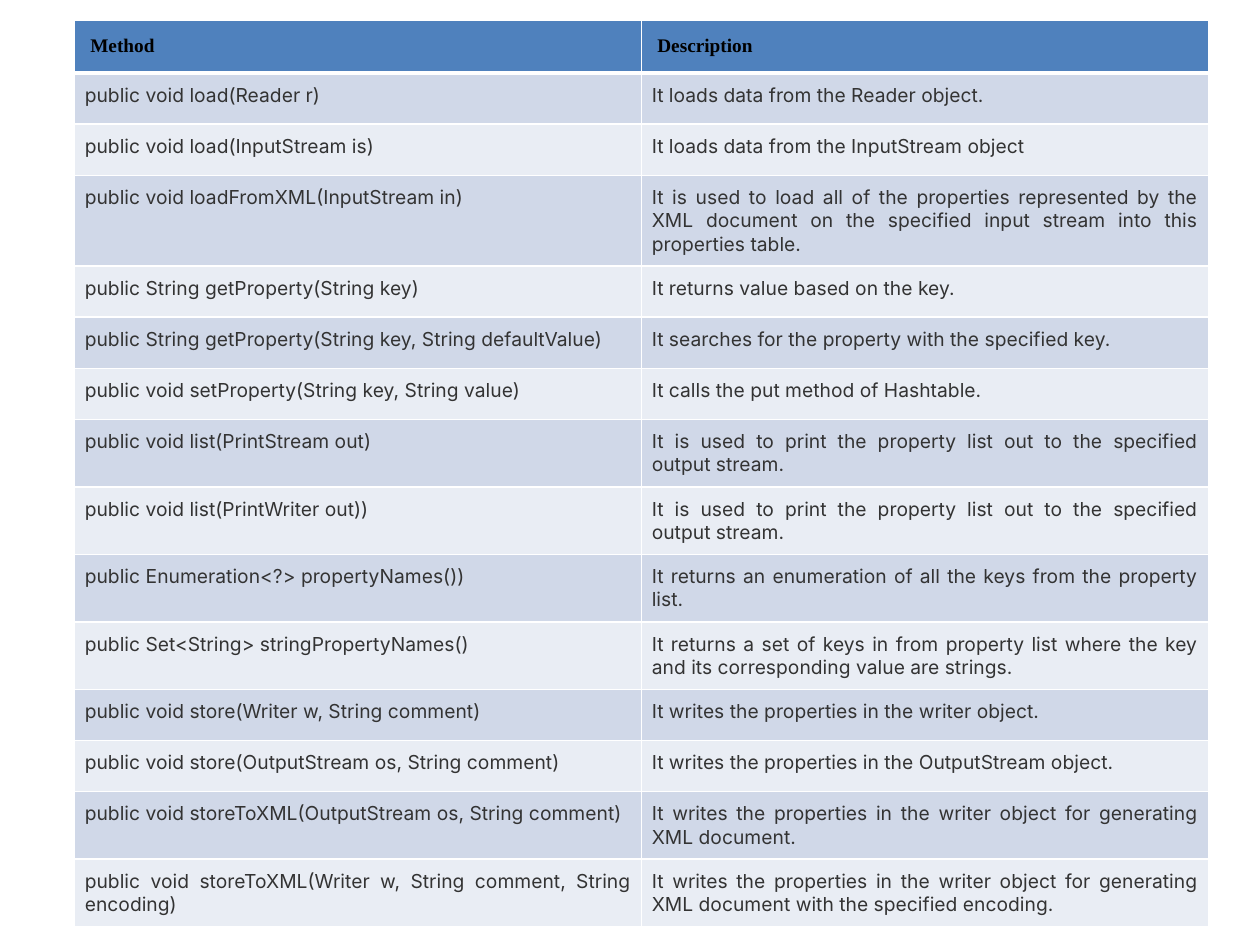
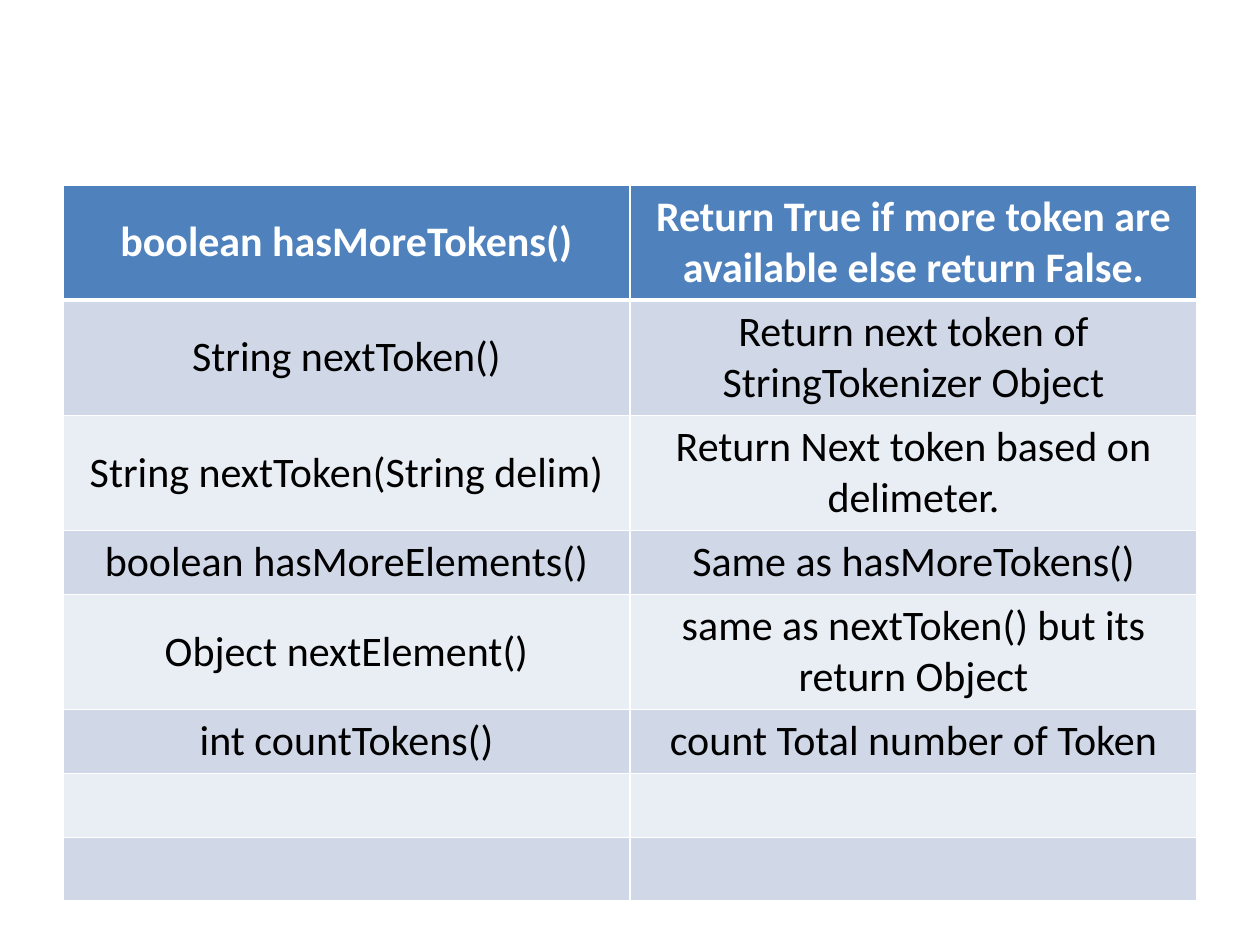
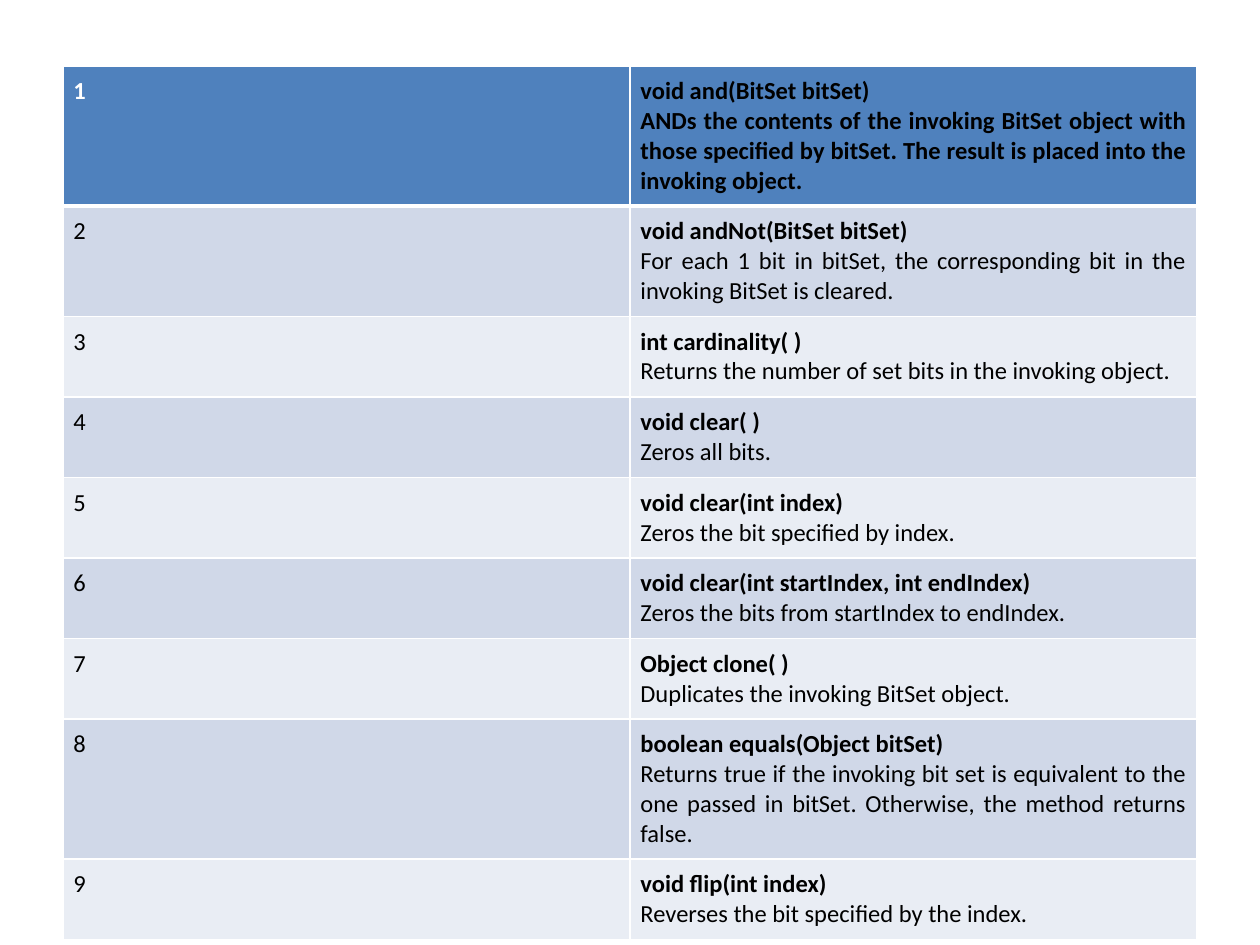
import pptx
import pptx.dml.color
import pptx.enum.text
import pptx.oxml.ns
import pptx.util
from lxml import etree

Cm, Pt = pptx.util.Cm, pptx.util.Pt
ALIGN = pptx.enum.text.PP_ALIGN
ANCHOR = pptx.enum.text.MSO_ANCHOR
qn = pptx.oxml.ns.qn

COLORS = {
    "header": "4F81BD", "odd": "D0D8E8", "even": "E9EDF4",
    "white": "FFFFFF", "black": "000000", "gray": "333333",
}
COLUMN_WIDTH, ROW_HEIGHT = Cm(11.43), Cm(1.03)
THIN, THICK = Pt(1), Pt(3)
INSET, HEADER_INSET = Cm(0.21), Cm(0.32)

PROPERTIES_METHODS = [
    ("Method", "Description"),
    ("public void load(Reader r)", "It loads data from the Reader object."),
    ("public void load(InputStream is)", "It loads data from the InputStream object"),
    ("public void loadFromXML(InputStream in)",
     "It is used to load all of the properties represented by the XML document "
     "on the specified input stream into this properties table."),
    ("public String getProperty(String key)", "It returns value based on the key."),
    ("public String getProperty(String key, String defaultValue)",
     "It searches for the property with the specified key."),
    ("public void setProperty(String key, String value)",
     "It calls the put method of Hashtable."),
    ("public void list(PrintStream out)",
     "It is used to print the property list out to the specified output stream."),
    ("public void list(PrintWriter out))",
     "It is used to print the property list out to the specified output stream."),
    ("public Enumeration<?> propertyNames())",
     "It returns an enumeration of all the keys from the property list."),
    ("public Set<String> stringPropertyNames()",
     "It returns a set of keys in from property list where the key and its "
     "corresponding value are strings."),
    ("public void store(Writer w, String comment)",
     "It writes the properties in the writer object."),
    ("public void store(OutputStream os, String comment)",
     "It writes the properties in the OutputStream object."),
    ("public void storeToXML(OutputStream os, String comment)",
     "It writes the properties in the writer object for generating XML document."),
    ("public void storeToXML(Writer w, String comment, String encoding)",
     "It writes the properties in the writer object for generating XML document "
     "with the specified encoding."),
]

TOKENIZER_METHODS = [
    ("boolean hasMoreTokens()",
     "Return True if more token are available else return False."),
    ("String nextToken()", "Return next token of StringTokenizer Object"),
    ("String nextToken(String delim)", "Return Next token based on delimeter."),
    ("boolean hasMoreElements()", "Same as hasMoreTokens()"),
    ("Object nextElement()", "same as nextToken() but its return Object"),
    ("int countTokens()", "count Total number of Token"),
    ("", ""),
    ("", ""),
]

BITSET_METHODS = [
    ("void and(BitSet bitSet)",
     "ANDs the contents of the invoking BitSet object with those specified by "
     "bitSet. The result is placed into the invoking object."),
    ("void andNot(BitSet bitSet)",
     "For each 1 bit in bitSet, the corresponding bit in the invoking BitSet is cleared."),
    ("int cardinality( )", "Returns the number of set bits in the invoking object."),
    ("void clear( )", "Zeros all bits."),
    ("void clear(int index)", "Zeros the bit specified by index."),
    ("void clear(int startIndex, int endIndex)",
     "Zeros the bits from startIndex to endIndex."),
    ("Object clone( )", "Duplicates the invoking BitSet object."),
    ("boolean equals(Object bitSet)",
     "Returns true if the invoking bit set is equivalent to the one passed in "
     "bitSet. Otherwise, the method returns false."),
    ("void flip(int index)", "Reverses the bit specified by the index."),
]
BITSET_ROWS = [(str(number), "\n".join(method))
               for number, method in enumerate(BITSET_METHODS, 1)]

TABLES = [
    dict(rows=PROPERTIES_METHODS, left=Cm(1.5), top=Cm(0.4),
         header=dict(size=11, font="Times New Roman", inset=HEADER_INSET),
         header_colors=("black", "black"),
         body=dict(size=11, font="Inter", color="gray", align=ALIGN.JUSTIFY, inset=INSET)),
    dict(rows=TOKENIZER_METHODS, left=Cm(1.27), top=Cm(3.73),
         header=dict(size=24, align=ALIGN.CENTER, anchor=ANCHOR.MIDDLE),
         header_colors=("white", "white"),
         body=dict(size=24, align=ALIGN.CENTER, anchor=ANCHOR.MIDDLE)),
    dict(rows=BITSET_ROWS, left=Cm(1.27), top=Cm(1.33),
         header=dict(size=14, align=ALIGN.JUSTIFY, inset=INSET),
         header_colors=("white", "black"),
         body=dict(size=14, align=ALIGN.JUSTIFY, inset=INSET)),
]


def write_text(cell, text, size, font="Calibri", color="black", bold=False,
               align=ALIGN.LEFT, anchor=ANCHOR.TOP, inset=None):
    """Write one paragraph per line; the first of several lines is bold."""
    cell.vertical_anchor = anchor
    if inset is not None:
        cell.margin_left = cell.margin_top = inset
        cell.margin_right = cell.margin_bottom = inset
    lines = text.split("\n")
    for index, line in enumerate(lines):
        frame = cell.text_frame
        para = frame.add_paragraph() if index else frame.paragraphs[0]
        para.alignment = align
        if not line:
            etree.SubElement(para._p, qn("a:endParaRPr"), sz=str(size * 100))
            continue
        span = para.add_run()
        span.text = line
        span.font.size = Pt(size)
        span.font.name = font
        span.font.bold = bold or (len(lines) > 1 and index == 0)
        span.font.color.rgb = pptx.dml.color.RGBColor.from_string(COLORS[color])


def paint_cell(cell, fill, top, bottom):
    """Add white borders, then the fill that must follow them in the XML."""
    properties = cell._tc.get_or_add_tcPr()
    for side, width in (("L", THIN), ("R", THIN), ("T", top), ("B", bottom)):
        line = etree.SubElement(properties, qn("a:ln" + side), w=str(int(width)))
        solid = etree.SubElement(line, qn("a:solidFill"))
        etree.SubElement(solid, qn("a:srgbClr"), val=COLORS["white"])
    cell.fill.solid()
    cell.fill.fore_color.rgb = pptx.dml.color.RGBColor.from_string(COLORS[fill])


def add_method_table(page, rows, left, top, header, header_colors, body):
    table = page.shapes.add_table(len(rows), 2, left, top, 2 * COLUMN_WIDTH,
                                  len(rows) * ROW_HEIGHT).table
    for column in table.columns:
        column.width = COLUMN_WIDTH
    for r, texts in enumerate(rows):
        table.rows[r].height = ROW_HEIGHT
        fill = "header" if r == 0 else ("even", "odd")[r % 2]
        for c, text in enumerate(texts):
            cell = table.cell(r, c)
            paint_cell(cell, fill, top=THICK if r == 1 else THIN,
                       bottom=THICK if r == 0 else THIN)
            if r == 0:
                write_text(cell, text, bold=True, color=header_colors[c], **header)
            else:
                write_text(cell, text, **body)


def main():
    deck = pptx.Presentation()
    deck.slide_width, deck.slide_height = Cm(25.4), Cm(19.05)
    for content in TABLES:
        add_method_table(deck.slides.add_slide(deck.slide_layouts[6]), **content)
    deck.save("out.pptx")


if __name__ == "__main__":
    main()
